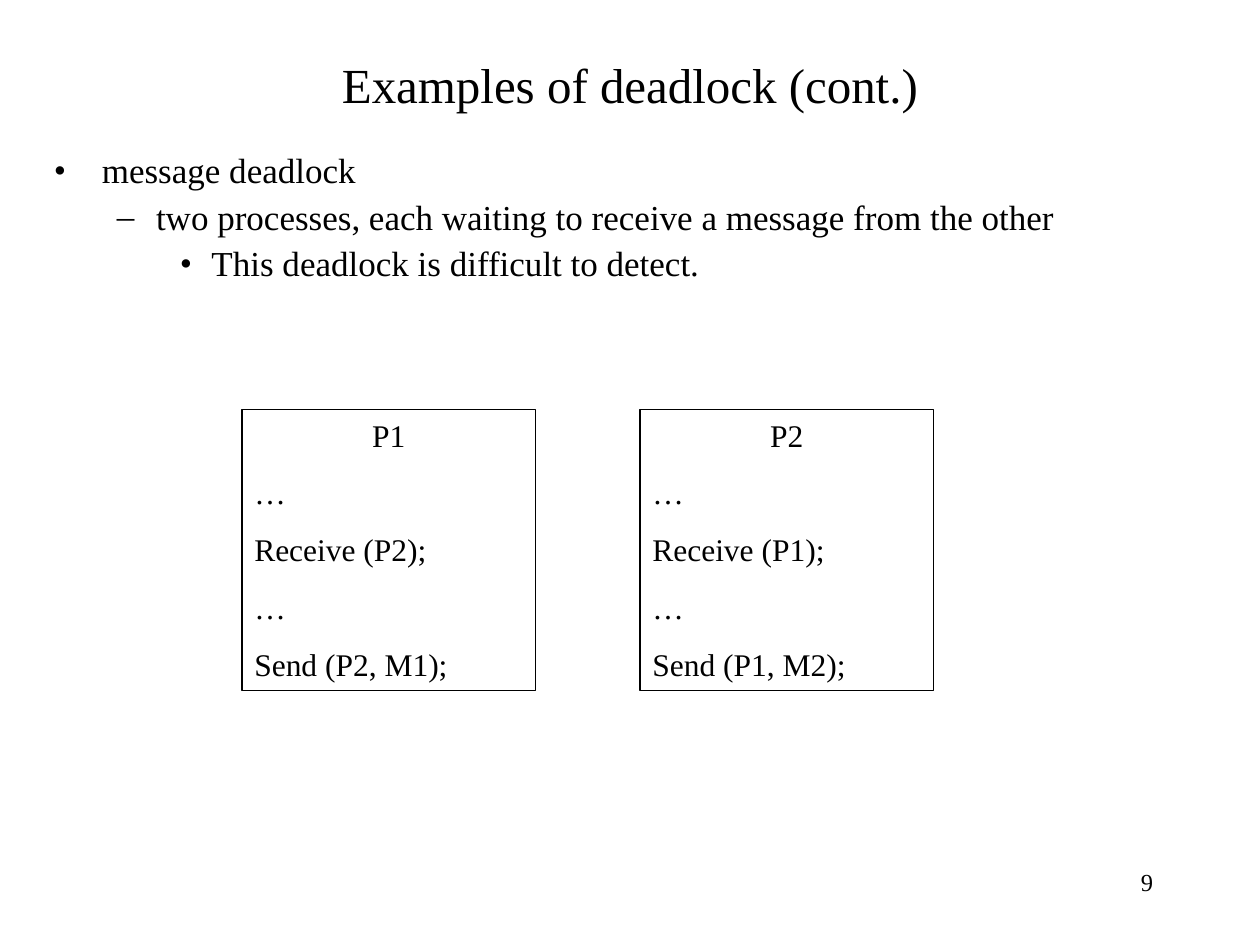
from lxml import etree
from pptx import Presentation
from pptx.dml.color import RGBColor
from pptx.enum import shapes, text
from pptx.oxml.ns import qn
from pptx.util import Inches, Pt

BLACK = RGBColor(0, 0, 0)
FONT = "Times New Roman"
# Bullet, left margin and hanging indent in inches, by outline level
LEVELS = [("•", 0.38, 0.38), ("–", 0.81, 0.31), ("•", 1.25, 0.25)]


def write(para, words, size, align=text.PP_ALIGN.LEFT, before=0, line=1.0):
    para.alignment = align
    para.space_before = Pt(before)
    para.line_spacing = line
    span = para.add_run()
    span.text = words
    span.font.size = Pt(size)
    span.font.name = FONT
    span.font.color.rgb = BLACK


def add_bullet(para, level):
    mark, margin, hang = LEVELS[level]
    para.level = level
    props = para._p.get_or_add_pPr()
    props.set("marL", str(Inches(margin)))
    props.set("indent", str(-Inches(hang)))
    etree.SubElement(props, qn("a:buFont"), typeface=FONT)
    etree.SubElement(props, qn("a:buChar"), char=mark)


def prepare_frame(shape, anchor=text.MSO_ANCHOR.TOP):
    frame = shape.text_frame
    frame.word_wrap = True
    frame.auto_size = text.MSO_AUTO_SIZE.NONE
    frame.vertical_anchor = anchor
    return frame


def next_para(frame, index):
    return frame.add_paragraph() if index else frame.paragraphs[0]


def place_title(page, box, words):
    title = page.shapes.title
    title.left, title.top, title.width, title.height = box
    frame = prepare_frame(title, text.MSO_ANCHOR.MIDDLE)
    write(frame.paragraphs[0], words, 28, align=text.PP_ALIGN.CENTER)


def place_outline(page, box, points):
    frame = prepare_frame(page.shapes.add_textbox(*box))
    for index, (level, words) in enumerate(points):
        para = next_para(frame, index)
        write(para, words, 20, before=5, line=0.9)
        add_bullet(para, level)


def place_process(page, box, name, other, message):
    process = page.shapes.add_shape(shapes.MSO_SHAPE.RECTANGLE, *box)
    process.shadow.inherit = False
    process.fill.background()
    process.line.color.rgb = BLACK
    process.line.width = Pt(0.75)
    frame = prepare_frame(process)
    lines = [name, "…", f"Receive ({other});", "…", f"Send ({other}, {message});"]
    for index, words in enumerate(lines):
        align = text.PP_ALIGN.LEFT if index else text.PP_ALIGN.CENTER
        write(next_para(frame, index), words, 18, align=align, before=11.2)


def place_number(page, box, number):
    frame = prepare_frame(page.shapes.add_textbox(*box))
    write(frame.paragraphs[0], number, 14, align=text.PP_ALIGN.RIGHT)


def inch_box(*lengths):
    return [Inches(length) for length in lengths]


def main():
    deck = Presentation()
    deck.slide_width, deck.slide_height = Inches(10), Inches(7.5)
    page = deck.slides.add_slide(deck.slide_layouts[5])

    # Title and outline
    place_title(page, inch_box(0.75, 0.25, 8.5, 0.83), "Examples of deadlock (cont.)")
    place_outline(page, inch_box(0.33, 1.17, 9.25, 5.5), [
        (0, "message deadlock"),
        (1, "two processes, each waiting to receive a message from the other"),
        (2, "This deadlock is difficult to detect."),
    ])

    # The two processes waiting for each other
    processes = [("P1", "P2", "M1"), ("P2", "P1", "M2")]
    for column, process in enumerate(processes):
        box = inch_box(1.92 + 3.16 * column, 3.25, 2.33, 2.23)
        place_process(page, box, *process)

    # Page number
    place_number(page, inch_box(7.17, 6.83, 2.08, 0.5), "9")

    deck.save("out.pptx")


if __name__ == "__main__":
    main()
